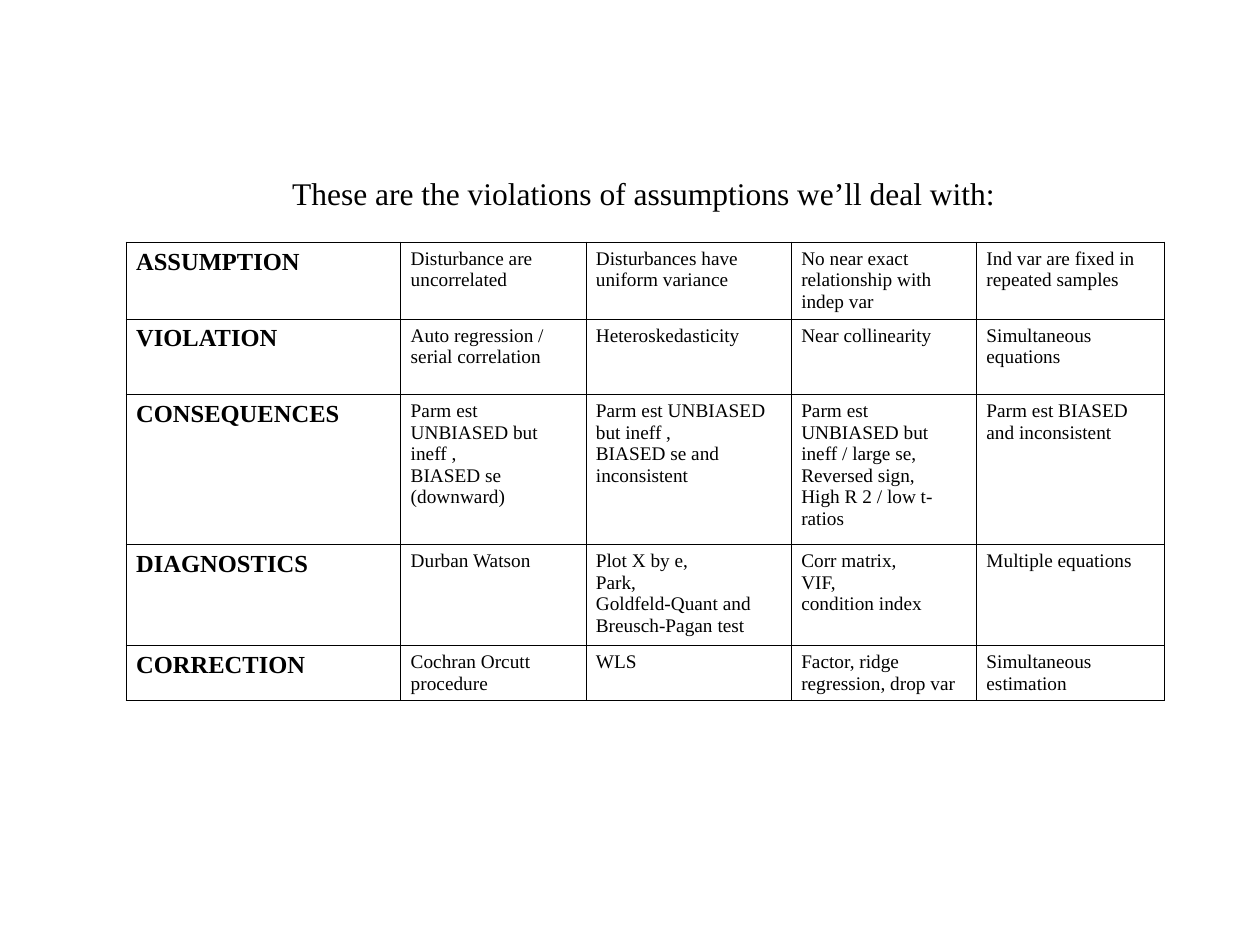
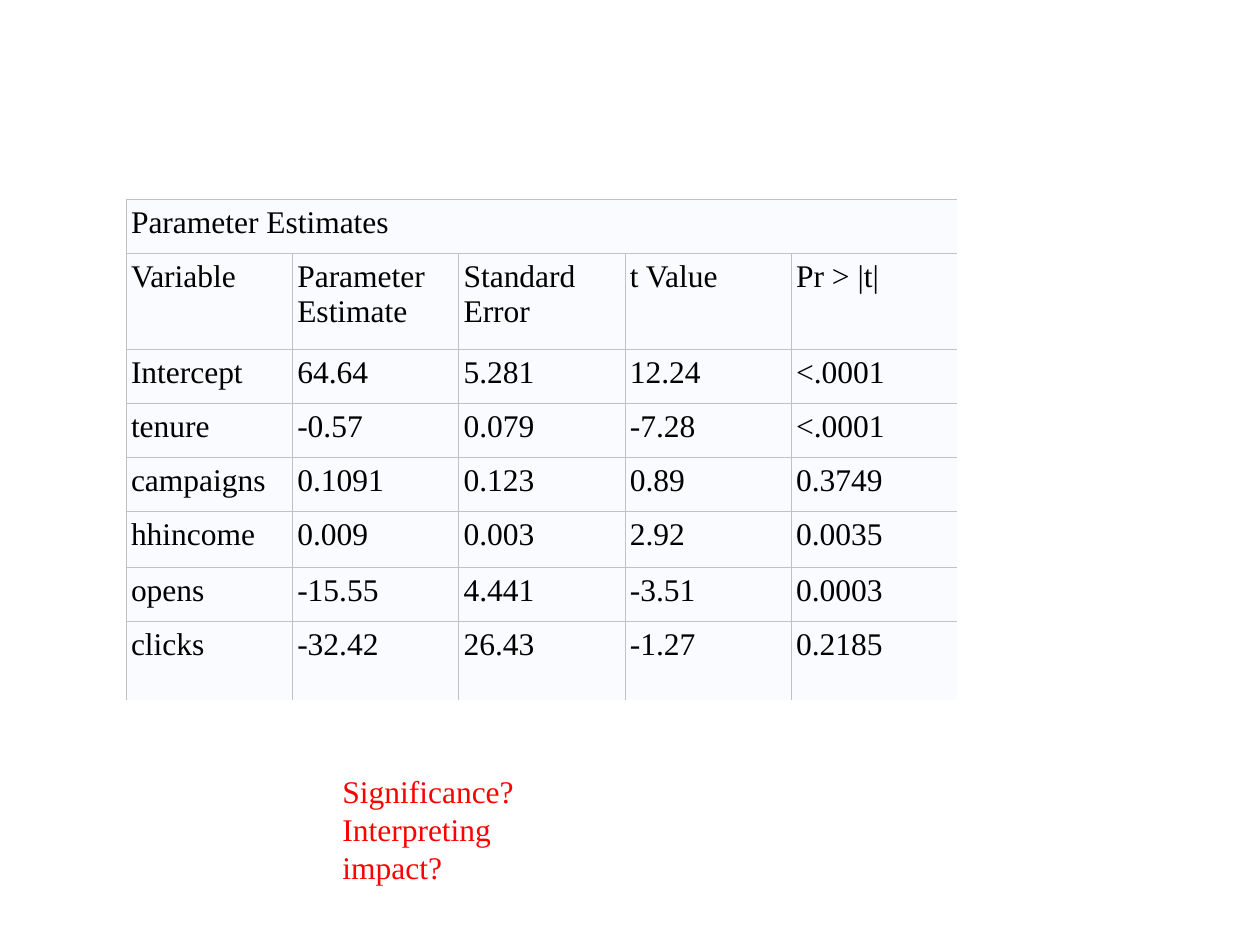
from lxml import etree
from pptx import Presentation
from pptx import util as u
from pptx.dml.color import RGBColor
from pptx.enum import text
from pptx.oxml import ns

FONT = "Times New Roman"
BLACK, RED, GRAY, PALE = "000000", "FF0000", "C1C1C1", "FAFBFE"
LEFT = 1
BODY_SIZE = 18
LINE_PITCH = 21.7

ASSUMPTIONS = [
    ["ASSUMPTION", "Disturbance are uncorrelated", "Disturbances have uniform variance",
     "No near exact relationship with indep var", "Ind var are fixed in repeated samples"],
    ["VIOLATION", "Auto regression / serial correlation", "Heteroskedasticity",
     "Near collinearity", "Simultaneous equations"],
    ["CONSEQUENCES", "Parm est UNBIASED but ineff ,\nBIASED se (downward)",
     "Parm est UNBIASED but ineff ,\nBIASED se and inconsistent",
     "Parm est UNBIASED but ineff / large se, Reversed sign,\nHigh R 2 / low t-ratios",
     "Parm est BIASED and inconsistent"],
    ["DIAGNOSTICS", "Durban Watson",
     "Plot X by e,\nPark,\nGoldfeld-Quant and Breusch-Pagan test",
     "Corr matrix,\nVIF,\ncondition index", "Multiple equations"],
    ["CORRECTION", "Cochran Orcutt procedure", "WLS",
     "Factor, ridge regression, drop var", "Simultaneous estimation"],
]
# "\v" is a line break inside a paragraph, "\n" starts a new paragraph.
ESTIMATES = [
    ["Parameter Estimates", "", "", "", ""],
    ["Variable", "Parameter\vEstimate", "Standard\vError", "t Value", "Pr > |t|"],
    ["Intercept", "64.64", "5.281", "12.24", "<.0001"],
    ["tenure", "-0.57", "0.079", "-7.28", "<.0001"],
    ["campaigns", "0.1091", "0.123", "0.89", "0.3749"],
    ["hhincome", "0.009", "0.003", "2.92", "0.0035"],
    ["opens", "-15.55", "4.441", "-3.51", "0.0003"],
    ["clicks", "-32.42", "26.43", "-1.27", "0.2185"],
]


def color(value):
    return RGBColor.from_string(value)


def format_text(frame, size, hue=BLACK, bold=False):
    for para in frame.paragraphs:
        for span in para.runs:
            for name, value in {"name": FONT, "size": u.Pt(size), "bold": bold}.items():
                setattr(span.font, name, value)
            span.font.color.rgb = color(hue)


def set_borders(cell, hue, width, hidden=""):
    """Draw the four edges of a cell, except the sides whose letters are in hidden."""
    properties = cell._tc.get_or_add_tcPr()
    for side in "LRTB":
        edge = etree.SubElement(properties, ns.qn(f"a:ln{side}"), w=str(u.Pt(width)))
        if side in hidden:
            etree.SubElement(edge, ns.qn("a:noFill"))
        else:
            fill = etree.SubElement(edge, ns.qn("a:solidFill"))
            etree.SubElement(fill, ns.qn("a:srgbClr"), val=hue)


def add_grid(page, top, widths, heights, content, side_margin):
    """Add an unstyled table with its words and return it."""
    frame = page.shapes.add_table(len(heights), len(widths), u.Inches(LEFT), u.Inches(top),
                                  u.Inches(sum(widths)), u.Inches(sum(heights)))
    grid = frame.table
    grid.first_row = grid.horz_banding = False
    for column, width in zip(grid.columns, widths):
        column.width = u.Inches(width)
    for row, height, words in zip(grid.rows, heights, content):
        row.height = u.Inches(height)
        for cell, entry in zip(row.cells, words):
            cell.margin_left = cell.margin_right = u.Inches(side_margin)
            if entry:
                cell.text_frame.text = entry
    return grid


def add_note(page, left, top, width, height, words, hue=BLACK):
    box = page.shapes.add_textbox(*map(u.Inches, (left, top, width, height)))
    frame = box.text_frame
    frame.word_wrap = False
    frame.auto_size = text.MSO_AUTO_SIZE.SHAPE_TO_FIT_TEXT
    frame.text = words
    format_text(frame, BODY_SIZE, hue)
    for para in frame.paragraphs:
        para.line_spacing = u.Pt(LINE_PITCH)


def add_violations_page(page):
    grid = add_grid(page, 1.92, [2.18, 1.47, 1.63, 1.47, 1.49],
                    [0.6, 0.6, 1.19, 0.8, 0.4], ASSUMPTIONS, 0.08)
    for row in grid.rows:
        for index, cell in enumerate(row.cells):
            is_label = index == 0
            format_text(cell.text_frame, 14 if is_label else 11, bold=is_label)
            set_borders(cell, BLACK, 0.45)
            cell.fill.background()
    add_note(page, 2.22, 1.33, 5.78, 0.4,
             "These are the violations of assumptions we’ll deal with:")


def add_estimates_page(page):
    columns, last_row = 5, len(ESTIMATES) - 1
    grid = add_grid(page, 1.58, [1.32] * columns,
                    [0.43, 0.76, 0.43, 0.43, 0.43, 0.44, 0.43, 0.63], ESTIMATES, 0.04)
    grid.cell(0, 0).merge(grid.cell(0, columns - 1))
    for row_index, row in enumerate(grid.rows):
        for index, cell in enumerate(row.cells):
            open_right = row_index == 0 or index == columns - 1
            hidden = ("R" if open_right else "") + ("B" if row_index == last_row else "")
            format_text(cell.text_frame, BODY_SIZE)
            set_borders(cell, GRAY, 0.34, hidden)
            cell.fill.solid()
            cell.fill.fore_color.rgb = color(PALE)
    add_note(page, 2.62, 6.08, 2.23, 0.7, "Significance?\nInterpreting impact?", RED)


def main():
    deck = Presentation()
    deck.slide_width, deck.slide_height = u.Inches(10), u.Inches(7.5)
    for fill_page in (add_violations_page, add_estimates_page):
        fill_page(deck.slides.add_slide(deck.slide_layouts[6]))
    deck.save("out.pptx")


if __name__ == "__main__":
    main()
